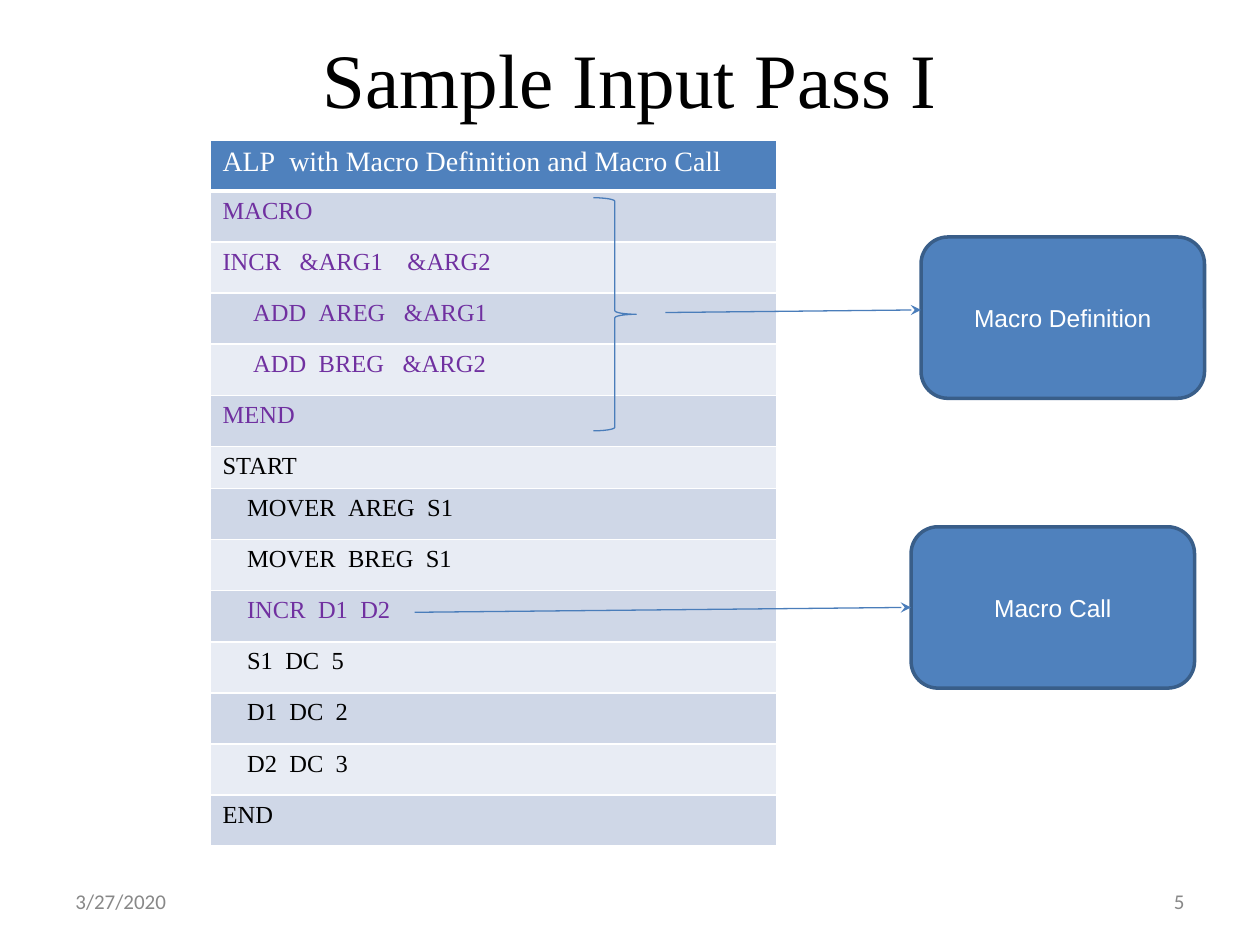
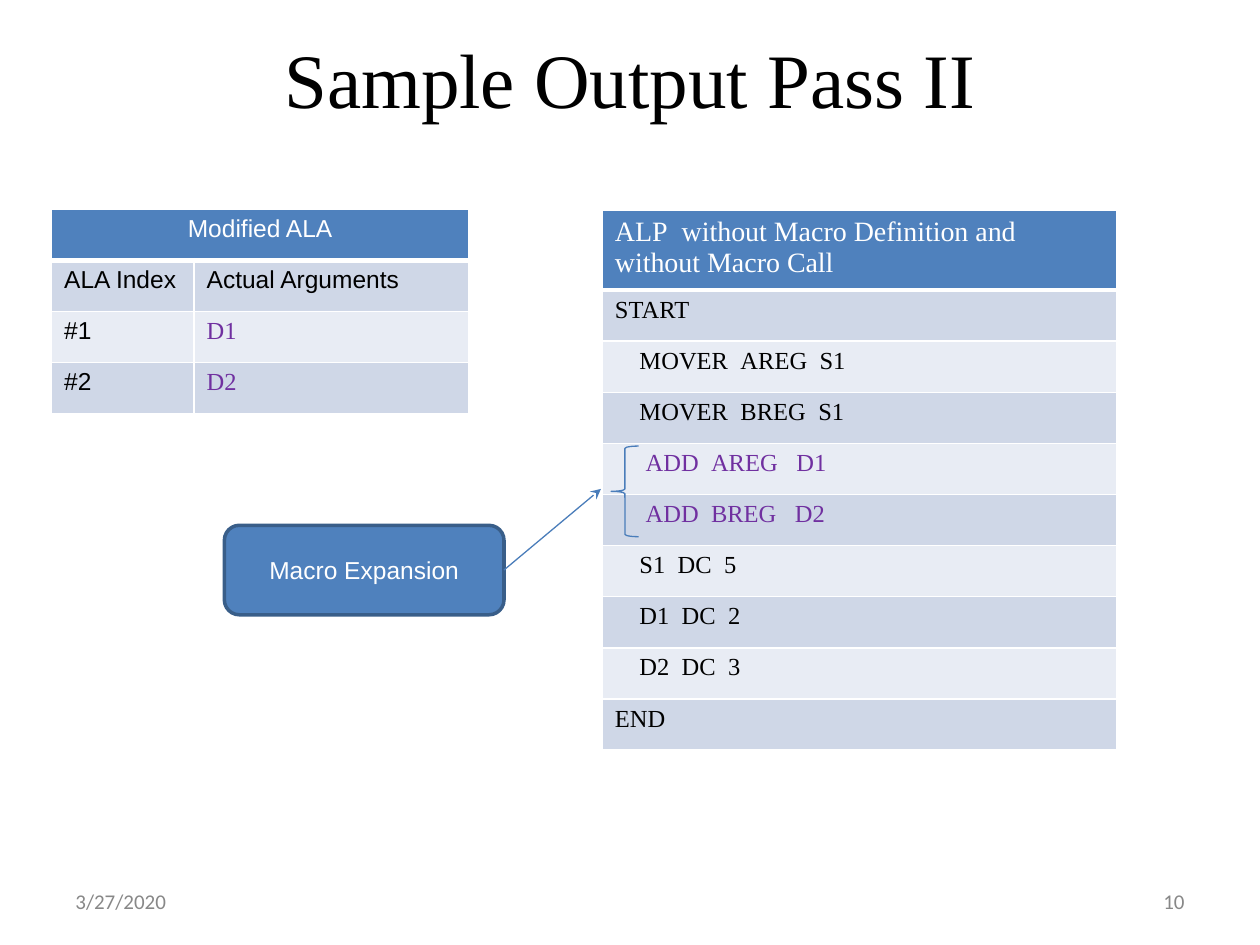
"""Build two slides on macro processing: the input of pass I and the output of pass II."""

from dataclasses import dataclass
from itertools import zip_longest

from lxml.etree import SubElement as Sub
from pptx import Presentation
from pptx.dml.color import RGBColor
from pptx.enum.shapes import MSO_CONNECTOR as Conn, MSO_SHAPE as Kind
from pptx.enum.text import MSO_ANCHOR as Anchor, PP_ALIGN as Align
from pptx.oxml.ns import qn
from pptx.util import Pt

SERIF, SANS, FOOT = "Times New Roman", "Arial", "Calibri"
BLACK, WHITE, GREY, PURPLE = "000000", "FFFFFF", "888888", "7030A0"
BLUE, EDGE, WIRE = "4F81BD", "395E89", "4A7DBA"
BANDS = ("E8ECF4", "CFD7E7")
ROW = 29.2
SPACE = 0.25


@dataclass(frozen=True)
class Area:
    left: float
    top: float
    width: float
    height: float

    def size(self) -> list:
        return [Pt(v) for v in (self.left, self.top, self.width, self.height)]


@dataclass(frozen=True)
class Cell:
    text: str
    lead: int = 0
    gaps: tuple = ()
    color: str = BLACK
    font: str = SERIF
    size: float = 14
    align: Align = Align.LEFT


@dataclass(frozen=True)
class Grid:
    left: float
    top: float
    cols: tuple
    rows: tuple
    heights: tuple


def hue(code: str) -> RGBColor:
    return RGBColor.from_string(code)


def write(frame, text: str, *, size: float = 14, font: str = SANS, color: str = BLACK,
          align: Align = Align.LEFT, lead: int = 0, gaps: tuple = ()) -> None:
    frame.word_wrap = True
    para = frame.paragraphs[0]
    para.alignment = align
    if lead:
        props = para._p.get_or_add_pPr()
        props.set("marL", str(Pt(lead * SPACE * size)))
        props.set("indent", "0")

    def add(part: str, wide: int = 1) -> None:
        run = para.add_run()
        run.text = part
        run.font.size, run.font.name, run.font.bold = Pt(size), font, False
        run.font.color.rgb = hue(color)
        if wide > 1:
            run._r.get_or_add_rPr().set("spc", str(int((wide - 1) * SPACE * size * 100)))

    for word, gap in zip_longest(text.split(" ", len(gaps)), gaps):
        add(word)
        if gap:
            add(" ", gap)


def label(slide, area: Area, text: str, **style) -> None:
    frame = slide.shapes.add_textbox(*area.size()).text_frame
    frame.vertical_anchor = Anchor.MIDDLE
    write(frame, text, **style)


def shape(slide, kind: Kind, area: Area, edge: str, width: float):
    item = slide.shapes.add_shape(kind, *area.size())
    item.shadow.inherit = False
    item.line.color.rgb = hue(edge)
    item.line.width = Pt(width)
    return item


def box(slide, area: Area, text: str):
    item = shape(slide, Kind.ROUNDED_RECTANGLE, area, EDGE, 2)
    item.fill.solid()
    item.fill.fore_color.rgb = hue(BLUE)
    item.text_frame.vertical_anchor = Anchor.MIDDLE
    write(item.text_frame, text, color=WHITE, align=Align.CENTER)
    return item


def brace(slide, kind: Kind, area: Area) -> None:
    shape(slide, kind, area, WIRE, 0.75).fill.background()


def arrow(slide, start: tuple, end: tuple):
    link = slide.shapes.add_connector(Conn.STRAIGHT, *[Pt(v) for v in start + end])
    link.line.color.rgb = hue(WIRE)
    link.line.width = Pt(0.75)
    props = link._element.spPr
    Sub(props.find(qn("a:ln")), qn("a:tailEnd"), type="stealth")
    Sub(props, qn("a:effectLst"))
    return link


def border(cell, row: int) -> None:
    props = cell._tc.get_or_add_tcPr()
    wide = {"L": 1, "R": 1, "T": 3 if row == 1 else 1, "B": 3 if row == 0 else 1}
    for side, width in wide.items():
        line = Sub(props, qn(f"a:ln{side}"), w=str(Pt(width)))
        Sub(Sub(line, qn("a:solidFill")), qn("a:srgbClr"), val=WHITE)


def table(slide, grid: Grid) -> None:
    area = Area(grid.left, grid.top, sum(grid.cols), sum(grid.heights))
    made = slide.shapes.add_table(len(grid.rows), len(grid.cols), *area.size()).table
    for col, width in zip(made.columns, grid.cols):
        col.width = Pt(width)
    for num, (line, high) in enumerate(zip(grid.rows, grid.heights)):
        made.rows[num].height = Pt(high)
        for cell in made.rows[num].cells:
            border(cell, num)
            cell.fill.solid()
            cell.fill.fore_color.rgb = hue(BANDS[num % 2] if num else BLUE)
        if len(line) < len(grid.cols):
            made.cell(num, 0).merge(made.cell(num, len(grid.cols) - 1))
        for pos, item in enumerate(line):
            write(made.cell(num, pos).text_frame, item.text, size=item.size, font=item.font,
                  color=item.color, align=item.align, lead=item.lead, gaps=item.gaps)


def head(text: str) -> Cell:
    return Cell(text, gaps=(2,), color=WHITE, size=16)


def code(text: str, color: str = BLACK) -> Cell:
    return Cell(text, 4, (2, 2), color)


def add(text: str) -> Cell:
    return Cell(text, 5, (2, 3), PURPLE)


def stack(*cells: Cell) -> tuple:
    return tuple((cell,) for cell in cells)


def page(deck, title: str, num: int):
    slide = deck.slides.add_slide(deck.slide_layouts[6])
    label(slide, Area(36, 21.6, 648, 46), title, size=44, font=SERIF, align=Align.CENTER)
    for left, text, align in ((36, "3/27/2020", Align.LEFT), (516, str(num), Align.RIGHT)):
        label(slide, Area(left, 500.4, 168, 28.8), text,
              size=12, font=FOOT, color=GREY, align=align)
    return slide


START, END = Cell("START"), Cell("END")
MOVES = (code("MOVER AREG S1"), code("MOVER BREG S1"))
DATA = (code("S1 DC 5"), code("D1 DC 2"), code("D2 DC 3"))

INPUT = Grid(120, 79.9, (324,), stack(
    head("ALP with Macro Definition and Macro Call"),
    Cell("MACRO", color=PURPLE),
    Cell("INCR &ARG1 &ARG2", gaps=(3, 4), color=PURPLE),
    add("ADD AREG &ARG1"),
    add("ADD BREG &ARG2"),
    Cell("MEND", color=PURPLE),
    START, *MOVES, code("INCR D1 D2", PURPLE), *DATA, END,
), (ROW,) * 6 + (22.7,) + (ROW,) * 7)

OUTPUT = Grid(344.2, 120.2, (293.8,), stack(
    head("ALP without Macro Definition and without Macro Call"),
    START, *MOVES, add("ADD AREG D1"), add("ADD BREG D2"), *DATA, END,
), (42.7,) + (ROW,) * 9)

ARGS = Grid(29.5, 119.5, (81.4, 157), (
    (Cell("Modified ALA", color=WHITE, font=SANS, align=Align.CENTER),),
    (Cell("ALA Index", font=SANS), Cell("Actual Arguments", font=SANS)),
    *((Cell(f"#{n}", font=SANS), Cell(f"D{n}", color=PURPLE)) for n in (1, 2)),
), (ROW,) * 4)


def first(deck) -> None:
    slide = page(deck, "Sample Input Pass I", 5)
    table(slide, INPUT)
    brace(slide, Kind.RIGHT_BRACE, Area(339.1, 113, 24.5, 133.2))
    box(slide, Area(526.3, 135.4, 162, 92.2), "Macro Definition")
    call = box(slide, Area(520.6, 301, 162, 92.2), "Macro Call")
    arrow(slide, (380.2, 178.6), (526.3, 177.1))
    arrow(slide, (236.9, 349.9), (520.6, 347.1)).end_connect(call, 1)


def second(deck) -> None:
    slide = page(deck, "Sample Output Pass II", 10)
    table(slide, ARGS)
    table(slide, OUTPUT)
    item = box(slide, Area(128.2, 300.2, 159.8, 51.1), "Macro Expansion")
    arrow(slide, (288, 325.8), (343.4, 279.4)).begin_connect(item, 3)
    brace(slide, Kind.LEFT_BRACE, Area(349.2, 254.9, 15.8, 51.8))


def main() -> None:
    deck = Presentation()
    deck.slide_width, deck.slide_height = Pt(720), Pt(540)
    first(deck)
    second(deck)
    deck.save("out.pptx")


if __name__ == "__main__":
    main()
